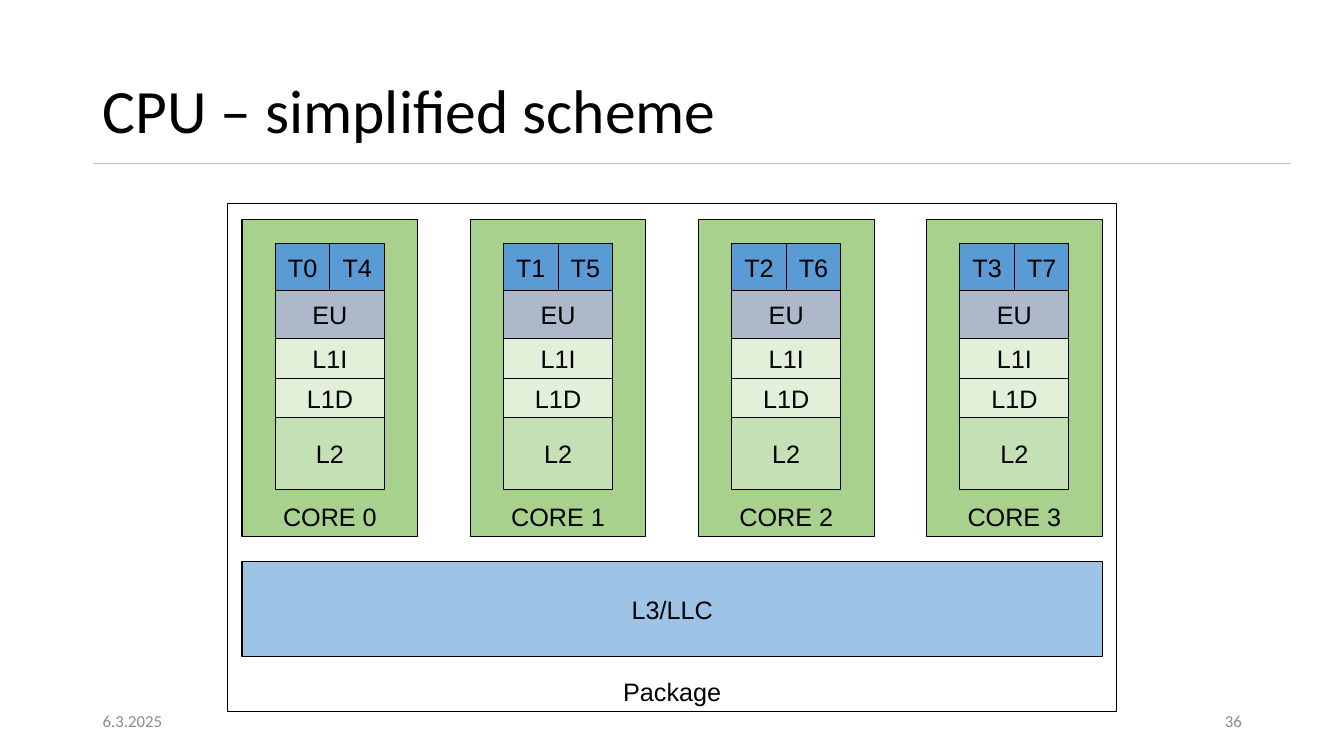
from pptx import Presentation
from pptx import util as u
from pptx.dml.color import RGBColor
from pptx.enum import shapes, text
from pptx.oxml.ns import qn

MIDDLE, BOTTOM = text.MSO_ANCHOR.MIDDLE, text.MSO_ANCHOR.BOTTOM
LEFT, CENTER, RIGHT = text.PP_ALIGN.LEFT, text.PP_ALIGN.CENTER, text.PP_ALIGN.RIGHT
TITLE = {"name": "Calibri", "size": u.Pt(44), "color": "000000"}
FOOTER = {"name": "Calibri", "size": u.Pt(12), "color": "8C8C8C"}
LABEL = {"name": "Arial", "size": u.Pt(18), "color": "000000"}
LAYERS = [
    ("EU", 1.2, "ADB9CA"),
    ("L1I", 1, "E2F0D9"),
    ("L1D", 1, "E2F0D9"),
    ("L2", 1.8, "C5E0B4"),
]
CORES = 4


def rgb(value):
    return RGBColor.from_string(value)


def lengths(box):
    return [u.Cm(v) for v in box]


def write(sp, words, fmt, align, anchor, wrap):
    tf = sp.text_frame
    tf.word_wrap = wrap
    tf.vertical_anchor = anchor
    p = tf.paragraphs[0]
    p.alignment = align
    r = p.add_run()
    r.text = words
    for key, value in fmt.items():
        if key == "color":
            r.font.color.rgb = rgb(value)
        else:
            setattr(r.font, key, value)
    return p


def text_box(s, box, words, fmt, align=LEFT):
    sp = s.shapes.add_textbox(*lengths(box))
    return write(sp, words, fmt, align, MIDDLE, True)


def block(parent, box, words, fill=None, anchor=MIDDLE):
    sp = parent.shapes.add_shape(shapes.MSO_SHAPE.RECTANGLE, *lengths(box))
    sp.shadow.inherit = False
    if fill:
        sp.fill.solid()
        sp.fill.fore_color.rgb = rgb(fill)
    else:
        sp.fill.background()
    sp.line.color.rgb = rgb("000000")
    sp.line.width = u.Pt(0.75)
    write(sp, words, LABEL, CENTER, anchor, False)


def header(s, x, y, w, h):
    line_y = u.Cm(y + 3.1)
    line = s.shapes.add_connector(
        shapes.MSO_CONNECTOR.STRAIGHT, u.Cm(x + 30.2), line_y, u.Cm(x), line_y)
    line.line.color.rgb = rgb("BFBFBF")
    line.line.width = u.Pt(0.75)
    sp_pr = line._element.spPr
    sp_pr.append(sp_pr.makeelement(qn("a:effectLst"), {}))
    text_box(s, (x, y, w, h), "CPU – simplified scheme", TITLE).line_spacing = 0.9


def core(s, x, y, w, h, number):
    group = s.shapes.add_group_shape()
    block(group, (x, y, w, h), f"CORE {number}", "A9D18E", BOTTOM)
    inset, top, thread_h = 0.84, y + 0.6, 1.2
    stack_x, stack_w = x + inset, w - 2 * inset
    thread_w = stack_w / 2
    for i in range(2):
        block(group, (stack_x + i * thread_w, top, thread_w, thread_h),
              f"T{number + i * CORES}", "5B9BD5")
    top += thread_h
    for name, height, fill in LAYERS:
        block(group, (stack_x, top, stack_w, height), name, fill)
        top += height


def package(s, x, y, w, h):
    margin, core_w = 0.36, 4.43
    inner_x, inner_w = x + margin, w - 2 * margin
    pitch = (inner_w - core_w) / (CORES - 1)
    for i in range(CORES):
        core(s, inner_x + i * pitch, y + 0.4, core_w, 8, i)
    block(s, (inner_x, y + 9.02, inner_w, 2.4), "L3/LLC", "9DC3E6")
    block(s, (x, y, w, h), "Package", anchor=BOTTOM)


def footer(s, x, y, w, h):
    field_w = 7.62
    text_box(s, (x, y, field_w, h), "6.3.2025", FOOTER)
    text_box(s, (x + w - field_w, y, field_w, h), "36", FOOTER, RIGHT)


def main():
    prs = Presentation()
    prs.slide_width, prs.slide_height = u.Cm(33.87), u.Cm(19.05)
    s = prs.slides.add_slide(prs.slide_layouts[6])
    header(s, 2.34, 1.02, 27, 3.68)
    package(s, 5.74, 5.13, 22.4, 12.8)
    footer(s, 2.34, 17.65, 29.21, 1.01)
    prs.save("out.pptx")


if __name__ == "__main__":
    main()
